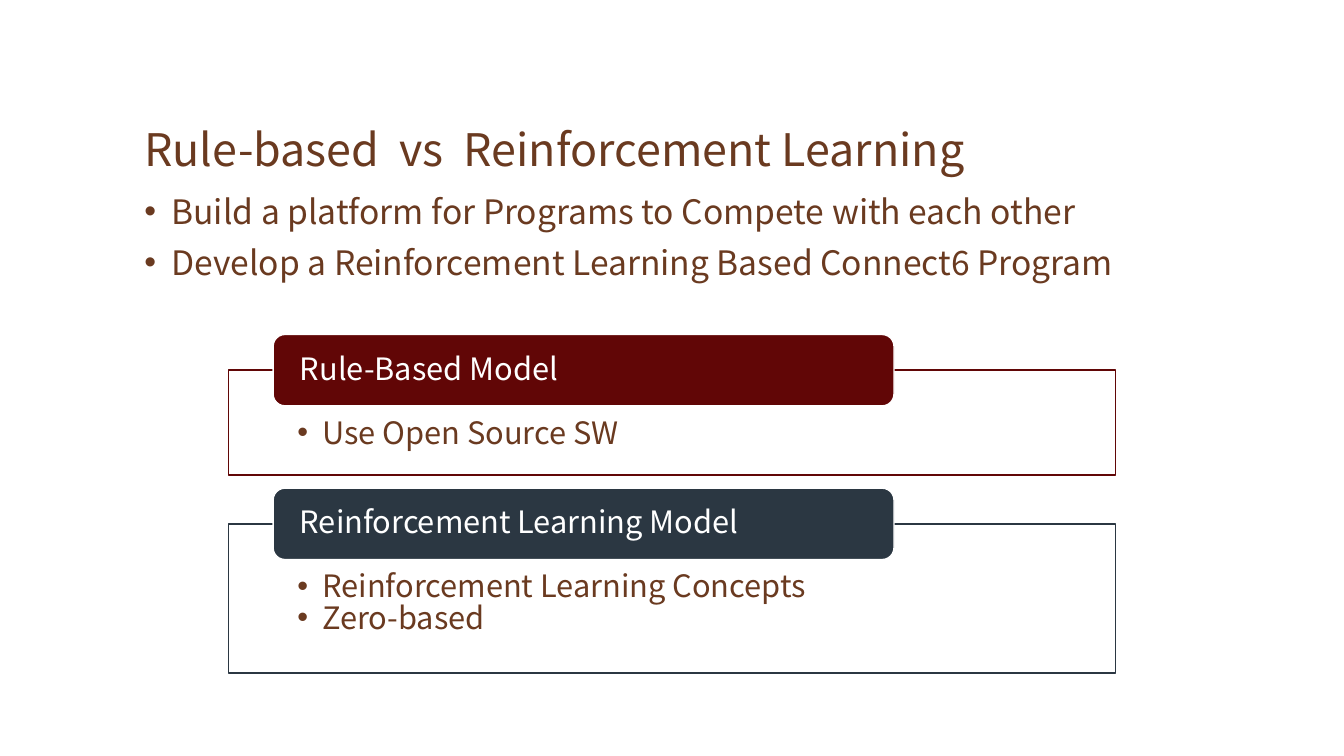
"""Build the slide comparing rule-based and reinforcement learning models."""
from lxml import etree
from pptx import Presentation
from pptx.dml.color import RGBColor
from pptx.enum.shapes import MSO_SHAPE
from pptx.enum.text import MSO_ANCHOR, PP_ALIGN
from pptx.oxml.ns import qn
from pptx.util import Pt

RECT, ROUNDED = MSO_SHAPE.RECTANGLE, MSO_SHAPE.ROUNDED_RECTANGLE
TOP, MIDDLE, BOTTOM = MSO_ANCHOR.TOP, MSO_ANCHOR.MIDDLE, MSO_ANCHOR.BOTTOM
LEFT = PP_ALIGN.LEFT
FONT = "Noto Sans CJK KR"
COLORS = {"brown": "6A3A20", "maroon": "610606", "slate": "2B3742", "white": "FFFFFF"}


def write(shape, lines, size, color, anchor, insets, spacing, before=0, after=0, indent=0):
    """Fill a shape with left-aligned lines, bulleted when an indent is given."""
    frame = shape.text_frame
    frame.word_wrap = True
    frame.vertical_anchor = anchor
    frame.margin_left = frame.margin_right = Pt(insets[0])
    frame.margin_top, frame.margin_bottom = Pt(insets[1]), Pt(insets[2])
    frame.text = "\n".join(lines)
    for paragraph in frame.paragraphs:
        paragraph.alignment = LEFT
        paragraph.line_spacing = spacing
        paragraph.space_before, paragraph.space_after = Pt(before), Pt(after)
        font = paragraph.runs[0].font
        font.name, font.size = FONT, Pt(size)
        font.color.rgb = RGBColor.from_string(COLORS[color])
        if indent:
            properties = paragraph._p.get_or_add_pPr()
            properties.set("marL", str(Pt(indent)))
            properties.set("indent", str(-Pt(indent)))
            bullet_color = etree.SubElement(properties, qn("a:buClr"))
            etree.SubElement(bullet_color, qn("a:srgbClr"), val=COLORS[color])
            etree.SubElement(properties, qn("a:buFont"), typeface="Arial")
            etree.SubElement(properties, qn("a:buChar"), char="•")


def add_panel(kind, left, top, width, height, fill, line):
    """Add a filled, outlined shape without a shadow."""
    panel = slide.shapes.add_shape(kind, Pt(left), Pt(top), Pt(width), Pt(height))
    panel.shadow.inherit = False
    panel.fill.solid()
    panel.fill.fore_color.rgb = RGBColor.from_string(COLORS[fill])
    panel.line.color.rgb = RGBColor.from_string(COLORS[line])
    panel.line.width = Pt(1)
    return panel


presentation = Presentation()
presentation.slide_width, presentation.slide_height = Pt(960), Pt(540)
slide = presentation.slides.add_slide(presentation.slide_layouts[6])

title = slide.shapes.add_textbox(Pt(96), Pt(34), Pt(768), Pt(92))
write(title, ["Rule-based  vs  Reinforcement Learning"], 32, "brown", BOTTOM, (7.2, 0, 0), 0.9)

goals = slide.shapes.add_textbox(Pt(96), Pt(142), Pt(768), Pt(71))
write(goals, ["Build a platform for Programs to Compete with each other",
              "Develop a Reinforcement Learning Based Connect6 Program"],
      24, "brown", TOP, (7.2, 0, 0), 0.8, before=13.6, indent=19.4)

models = [
    ("Rule-Based Model", ["Use Open Source SW"], "maroon", 264.4, 74.9),
    ("Reinforcement Learning Model", ["Reinforcement Learning Concepts", "Zero-based"],
     "slate", 374.2, 106.5),
]
for heading, points, accent, top, height in models:
    details = add_panel(RECT, 163.4, top, 633.6, height, "white", accent)
    white_fill = details.fill._xPr.find(qn("a:solidFill"))[0]
    etree.SubElement(white_fill, qn("a:alpha"), val="90000")
    write(details, points, 22, "brown", TOP, (49, 36, 12), 0.8, after=1.6, indent=18)
    header = add_panel(ROUNDED, 195.1, top - 25.5, 443.5, 51, accent, "white")
    write(header, [heading], 22, "white", MIDDLE, (16.6, 0, 0), 0.9)

presentation.save("out.pptx")
